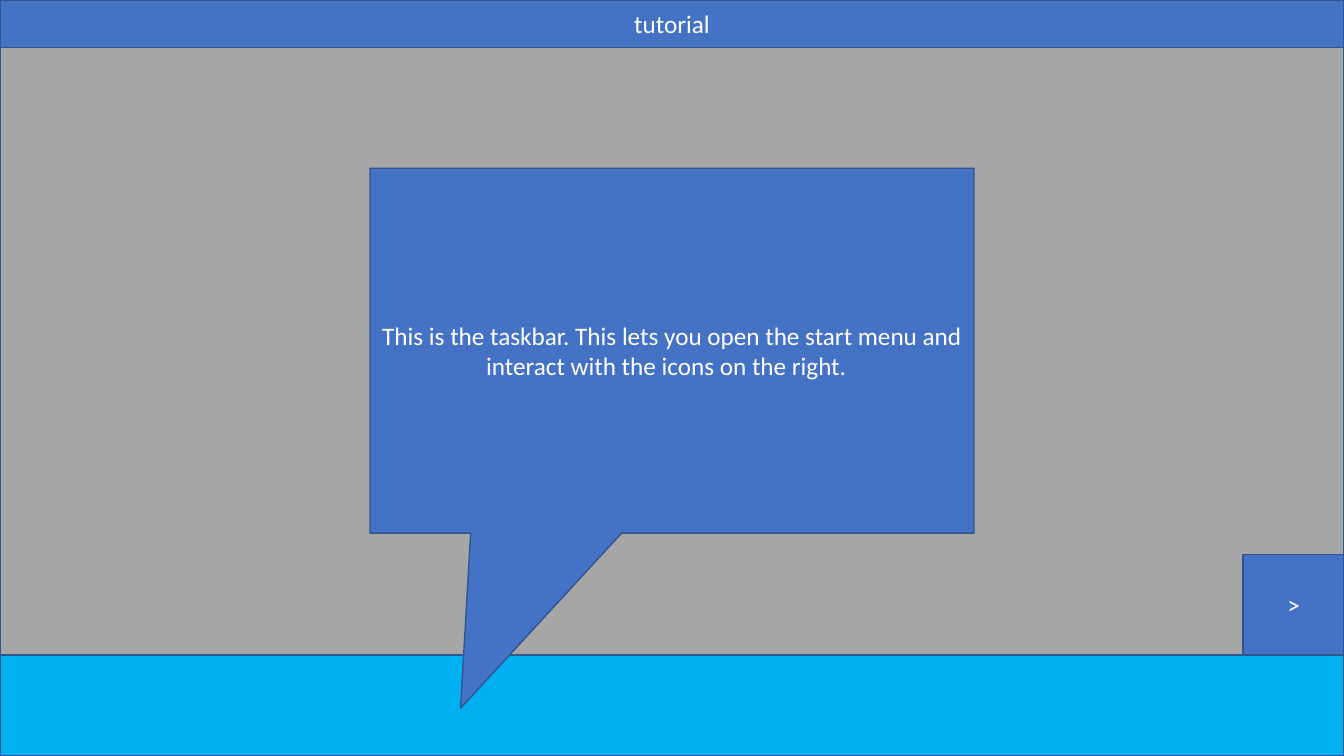
from pptx import Presentation
from pptx.dml.color import RGBColor
from pptx.enum.shapes import MSO_SHAPE as SHAPE
from pptx.enum.text import MSO_ANCHOR as ANCHOR, MSO_AUTO_SIZE as AUTO, PP_ALIGN as ALIGN
from pptx.util import Pt

COLORS = {"blue": "4472C4", "edge": "325491", "desktop": "A6A6A6",
          "taskbar": "00B0F0", "text": "FFFFFF"}
FONT = {"name": "Calibri", "size": Pt(18), "bold": False}
FRAME = {"word_wrap": True, "auto_size": AUTO.NONE, "vertical_anchor": ANCHOR.MIDDLE}
W, H = 960, 540
BAR, TASKBAR = 33.75, 72


class Screen:
    def __init__(self, slide):
        self.slide = slide

    def color(self, name):
        return RGBColor.from_string(COLORS[name])

    def paint(self, sp, fill):
        sp.fill.solid()
        sp.fill.fore_color.rgb = self.color(fill)
        sp.line.color.rgb = self.color("edge")
        sp.line.width = Pt(1)

    def label(self, sp, text):
        tf = sp.text_frame
        for key, value in FRAME.items():
            setattr(tf, key, value)
        p = tf.paragraphs[0]
        p.alignment = ALIGN.CENTER
        p.line_spacing = 1.0
        p.space_before = Pt(0)
        r = p.add_run()
        r.text = text
        for key, value in FONT.items():
            setattr(r.font, key, value)
        r.font.color.rgb = self.color("text")

    def title(self, text, height):
        sp = self.slide.shapes.title
        place = {"left": 0, "top": 0, "width": W, "height": height}
        for key, value in place.items():
            setattr(sp, key, Pt(value))
        self.paint(sp, "blue")
        self.label(sp, text)

    def shape(self, kind, box, fill, text=None, adjust=()):
        sp = self.slide.shapes.add_shape(kind, *map(Pt, box))
        sp.shadow.inherit = False
        self.paint(sp, fill)
        for i, value in enumerate(adjust):
            sp.adjustments[i] = value
        if text:
            self.label(sp, text)


def main():
    prs = Presentation()
    prs.slide_width, prs.slide_height = Pt(W), Pt(H)
    s = Screen(prs.slides.add_slide(prs.slide_layouts[5]))
    s.title("tutorial", BAR)
    s.shape(SHAPE.RECTANGLE, (0, BAR, W, H - BAR), "desktop")
    s.shape(SHAPE.RECTANGLE, (W - TASKBAR, H - 2 * TASKBAR, TASKBAR, TASKBAR), "blue", ">")
    s.shape(SHAPE.RECTANGLE, (0, H - TASKBAR, W, TASKBAR), "taskbar")
    s.shape(SHAPE.RECTANGULAR_CALLOUT, (264.3, 120.2, 431.4, 260.6), "blue",
            "This is the taskbar. This lets you open the start menu and "
            "interact with the icons on the right.  ", (-0.35, 0.98))
    prs.save("out.pptx")


if __name__ == "__main__":
    main()
